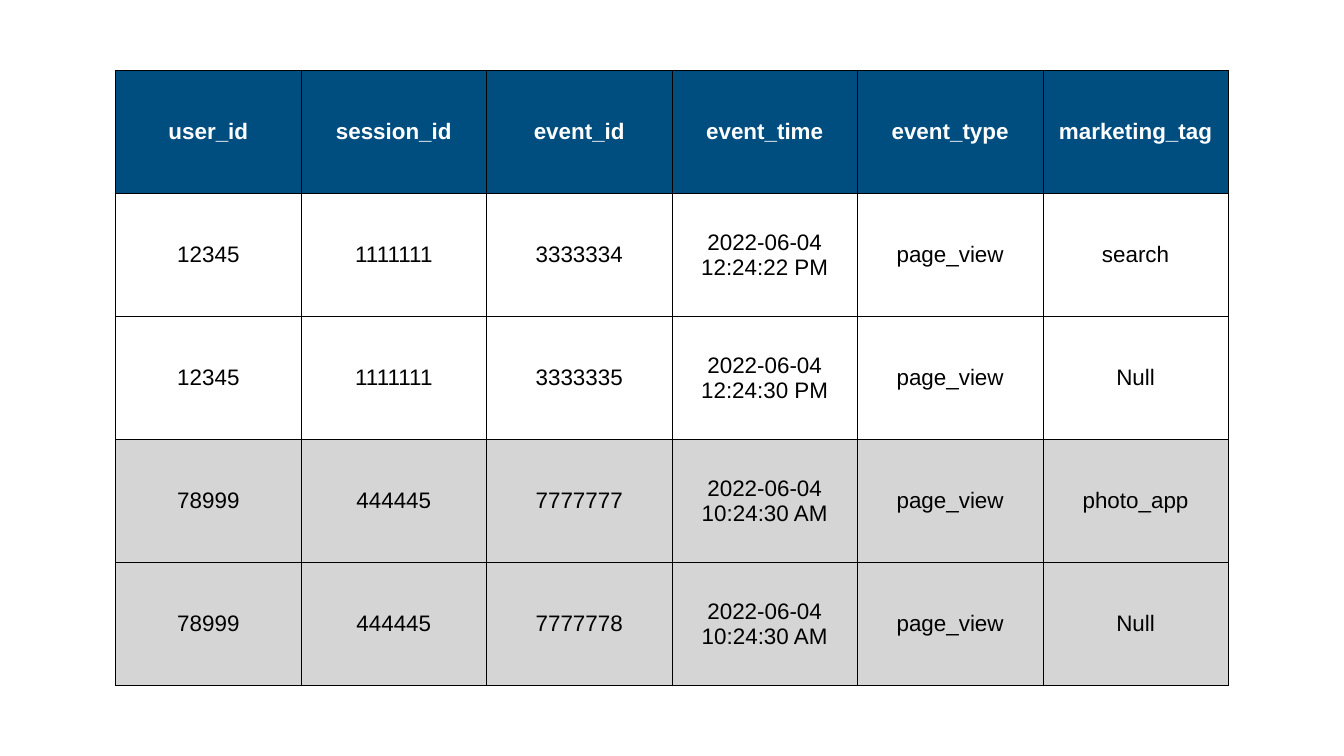
"""Build a one-slide deck with a table of user events grouped by session."""
from dataclasses import dataclass

from lxml.etree import SubElement
from pptx import Presentation
from pptx.dml.color import RGBColor as Color
from pptx.enum.text import MSO_ANCHOR as Anchor, PP_ALIGN as Align
from pptx.oxml.ns import qn
from pptx.util import Inches, Pt


@dataclass(frozen=True)
class Theme:
    font: str = "Arial"
    size: int = 32
    header_fill: str = "004D80"
    header_text: str = "FFFFFF"
    body_text: str = "000000"
    plain_fill: str = "FFFFFF"
    shaded_fill: str = "D5D5D5"
    line: str = "000000"
    thin: int = 1
    thick: int = 3
    inset: float = 0.06


def add_border(cell, side, points):
    line = SubElement(cell._tc.get_or_add_tcPr(), qn(f"a:ln{side}"), w=str(Pt(points)))
    fill = SubElement(line, qn("a:solidFill"))
    SubElement(fill, qn("a:srgbClr"), val=theme.line)


theme = Theme()
header = ["user_id", "session_id", "event_id", "event_time", "event_type", "marketing_tag"]
events = [
    ["12345", "1111111", "3333334", "2022-06-04 12:24:22 PM", "page_view", "search"],
    ["12345", "1111111", "3333335", "2022-06-04 12:24:30 PM", "page_view", "Null"],
    ["78999", "444445", "7777777", "2022-06-04 10:24:30 AM", "page_view", "photo_app"],
    ["78999", "444445", "7777778", "2022-06-04 10:24:30 AM", "page_view", "Null"],
]
rows = [header, *events]
row_fills = [theme.header_fill] + [theme.plain_fill] * 2 + [theme.shaded_fill] * 2
column_width, row_height = Inches(3.68), Inches(2.44)

deck = Presentation()
deck.slide_width, deck.slide_height = Inches(26.67), Inches(15)
page = deck.slides.add_slide(deck.slide_layouts[6])

width, height = column_width * len(header), row_height * len(rows)
left = (deck.slide_width - width) // 2
top = (deck.slide_height - height) // 2
table = page.shapes.add_table(len(rows), len(header), left, top, width, height).table
table.first_row = table.horz_banding = False
for column in table.columns:
    column.width = column_width
for row in table.rows:
    row.height = row_height

for row_index, (values, row_fill) in enumerate(zip(rows, row_fills)):
    is_header = row_index == 0
    for column_index, value in enumerate(values):
        cell = table.cell(row_index, column_index)
        cell.margin_left = cell.margin_right = Inches(theme.inset)
        cell.margin_top = cell.margin_bottom = Inches(theme.inset)
        cell.vertical_anchor = Anchor.MIDDLE
        add_border(cell, "L", theme.thin)
        add_border(cell, "R", theme.thin)
        add_border(cell, "T", theme.thick if row_index == 1 else theme.thin)
        add_border(cell, "B", theme.thick if is_header else theme.thin)
        cell.fill.solid()
        cell.fill.fore_color.rgb = Color.from_string(row_fill)
        cell.text = value
        para = cell.text_frame.paragraphs[0]
        para.alignment = Align.CENTER
        para.font.name = theme.font
        para.font.size = Pt(theme.size)
        para.font.bold = is_header
        text_color = theme.header_text if is_header else theme.body_text
        para.font.color.rgb = Color.from_string(text_color)

deck.save("out.pptx")
